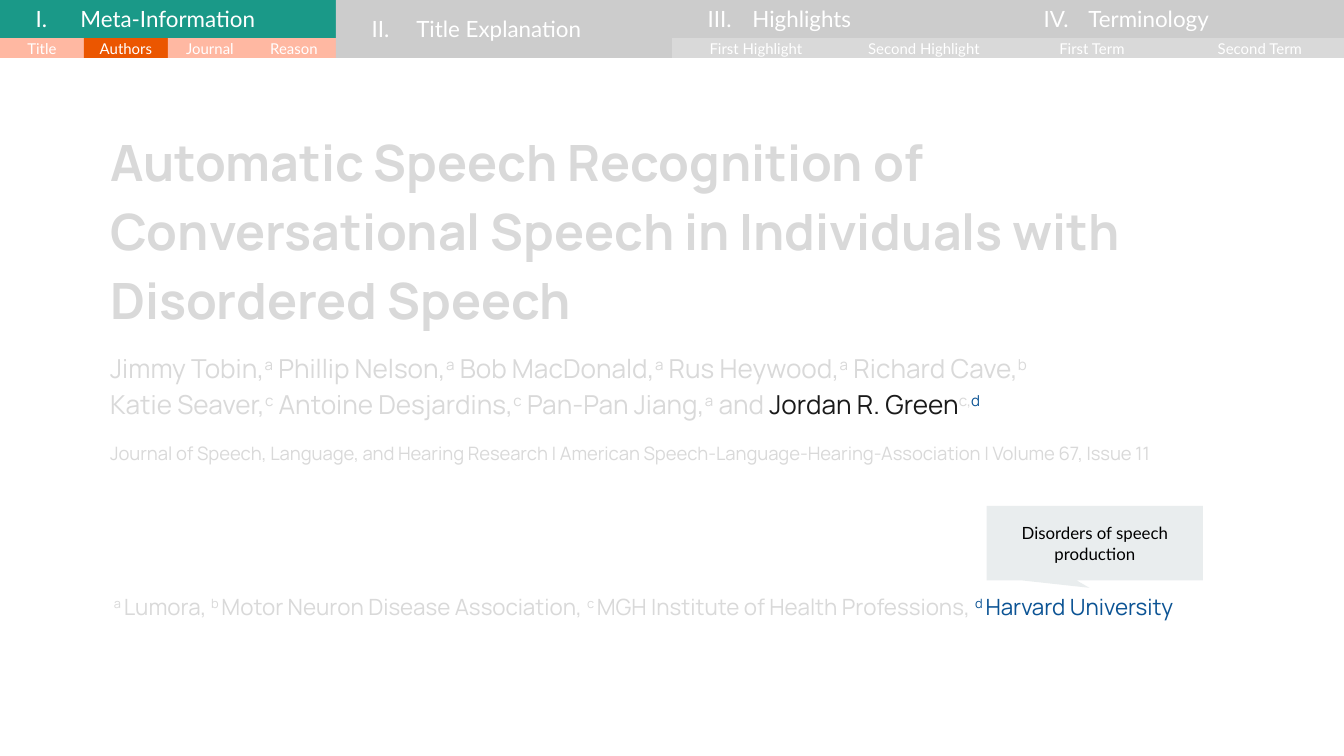
from lxml.etree import SubElement
from pptx import Presentation
from pptx.dml.color import RGBColor
from pptx.enum.shapes import MSO_SHAPE as Shape
from pptx.enum.text import MSO_ANCHOR as Anchor, MSO_AUTO_SIZE as AutoSize, PP_ALIGN as Align
from pptx.oxml.ns import qn
from pptx.util import Pt

COLORS = {
    "white": "FFFFFF", "black": "000000", "ink": "1A1A1A", "faded": "D9D9D9",
    "gray": "CCCCCC", "teal": "1A9988", "peach": "FFB8A2", "orange": "EB5600",
    "blue": "0B5394", "callout": "E9EDEE",
}


def write(para, text, size=14, font="Manrope", color="faded", bold=False):
    """Add text to a paragraph; pieces between carets are superscript."""
    for index, piece in enumerate(text.split("^")):
        if not piece:
            continue
        span = para.add_run()
        span.text = piece
        span.font.size = Pt(size)
        span.font.name = font
        span.font.bold = bold
        span.font.color.rgb = RGBColor.from_string(COLORS[color])
        if index % 2:
            span.font._element.set("baseline", "30000")


def add_block(kind, left, top, width, height, fill):
    """Add a plain filled shape ready for middle-anchored text."""
    block = page.shapes.add_shape(kind, Pt(left), Pt(top), Pt(width), Pt(height))
    block.shadow.inherit = False
    block.fill.solid()
    block.fill.fore_color.rgb = RGBColor.from_string(COLORS[fill])
    block.line.fill.background()
    frame = block.text_frame
    frame.word_wrap = True
    frame.vertical_anchor = Anchor.MIDDLE
    frame.margin_left = frame.margin_right = Pt(7.2)
    frame.margin_top = frame.margin_bottom = Pt(7.2)
    frame.paragraphs[0].alignment = Align.CENTER
    return block


deck = Presentation()
deck.slide_width, deck.slide_height = Pt(720), Pt(405)
page = deck.slides.add_slide(deck.slide_layouts[5])

# Paper title, authors and journal
paper = page.shapes.title
affiliations = page.shapes.add_textbox(Pt(54), Pt(308.2), Pt(628), Pt(29))
paper.left, paper.top, paper.width, paper.height = Pt(51.8), Pt(58.2), Pt(616.3), Pt(206.6)
for box in (paper, affiliations):
    frame = box.text_frame
    frame.word_wrap = True
    frame.auto_size = AutoSize.SHAPE_TO_FIT_TEXT
    frame.vertical_anchor = Anchor.TOP
    frame.margin_left = frame.margin_right = Pt(7.2)
    frame.margin_top = frame.margin_bottom = Pt(7.2)

# Line spacing and space before of each paragraph
frame = paper.text_frame
for index, (spacing, before) in enumerate([(1.15, 0), (1.15, 10), (1.15, 0), (1.0, 10)]):
    para = frame.add_paragraph() if index else frame.paragraphs[0]
    para.alignment = Align.LEFT
    para.line_spacing = spacing
    para.space_before = Pt(before)
title, first_authors, last_authors, journal = frame.paragraphs

write(title, "Automatic Speech Recognition of Conversational Speech in Individuals "
      "with Disordered Speech", size=26.8, bold=True)
write(first_authors, "Jimmy Tobin,^a^ Phillip Nelson,^a^ Bob MacDonald,^a^ "
      "Rus Heywood,^a^ Richard Cave,^b^")
write(last_authors, "Katie Seaver,^c^ Antoine Desjardins,^c^ Pan-Pan Jiang,^a^ and ")
write(last_authors, "Jordan R. Green", color="ink")
write(last_authors, "^c,^")
write(last_authors, "^d^", color="blue")
write(journal, "^Journal of Speech, Language, and Hearing Research | "
      "American Speech-Language-Hearing-Association | Volume 67, Issue 11^", size=17)

# Affiliations
para = affiliations.text_frame.paragraphs[0]
para.line_spacing = 1.15
para.space_after = Pt(10)
write(para, "^a ^Lumora, ^b ^Motor Neuron Disease Association, "
      "^c ^MGH Institute of Health Professions, ", size=12)
write(para, "^d ^Harvard University", size=12, color="blue")

# Callout above the highlighted affiliation
callout = add_block(Shape.RECTANGULAR_CALLOUT, 528.6, 271, 115.8, 40, "callout")
callout.adjustments[0], callout.adjustments[1] = 0.025, 0.598
callout._element.spPr.find(qn("a:xfrm")).set("flipH", "1")
write(callout.text_frame.paragraphs[0], "Disorders of speech production",
      size=9, font="Lato", color="black")

# Navigation bar: numbered sections, each with its row of equal tabs
SECTIONS = [
    ("Meta-Information", "teal", "peach", ["Title", "Authors", "Journal", "Reason"]),
    ("Title Explanation", "gray", "faded", []),
    ("Highlights", "gray", "faded", ["First Highlight", "Second Highlight"]),
    ("Terminology", "gray", "faded", ["First Term", "Second Term"]),
]
CURRENT_TAB = "Authors"
SECTION_WIDTH, HEAD_HEIGHT, TAB_HEIGHT = 180, 20.4, 10.7

for number, (name, fill, tab_fill, tabs) in enumerate(SECTIONS):
    left = number * SECTION_WIDTH
    height = HEAD_HEIGHT if tabs else HEAD_HEIGHT + TAB_HEIGHT
    head = add_block(Shape.RECTANGLE, left, 0, SECTION_WIDTH, height, fill)
    para = head.text_frame.paragraphs[0]
    para.alignment = Align.LEFT
    layout = para._p.get_or_add_pPr()
    layout.set("marL", str(Pt(36)))
    layout.set("indent", str(Pt(-24)))
    tint = SubElement(layout, qn("a:buClr"))
    SubElement(tint, qn("a:srgbClr"), val=COLORS["white"])
    SubElement(layout, qn("a:buAutoNum"), type="romanUcPeriod", startAt=str(number + 1))
    write(para, name, size=12, font="Lato", color="white")

    for place, label in enumerate(tabs):
        width = SECTION_WIDTH / len(tabs)
        tab = add_block(Shape.RECTANGLE, left + place * width, HEAD_HEIGHT, width, TAB_HEIGHT,
                        "orange" if label == CURRENT_TAB else tab_fill)
        write(tab.text_frame.paragraphs[0], label, size=8, font="Lato", color="white")

deck.save("out.pptx")
